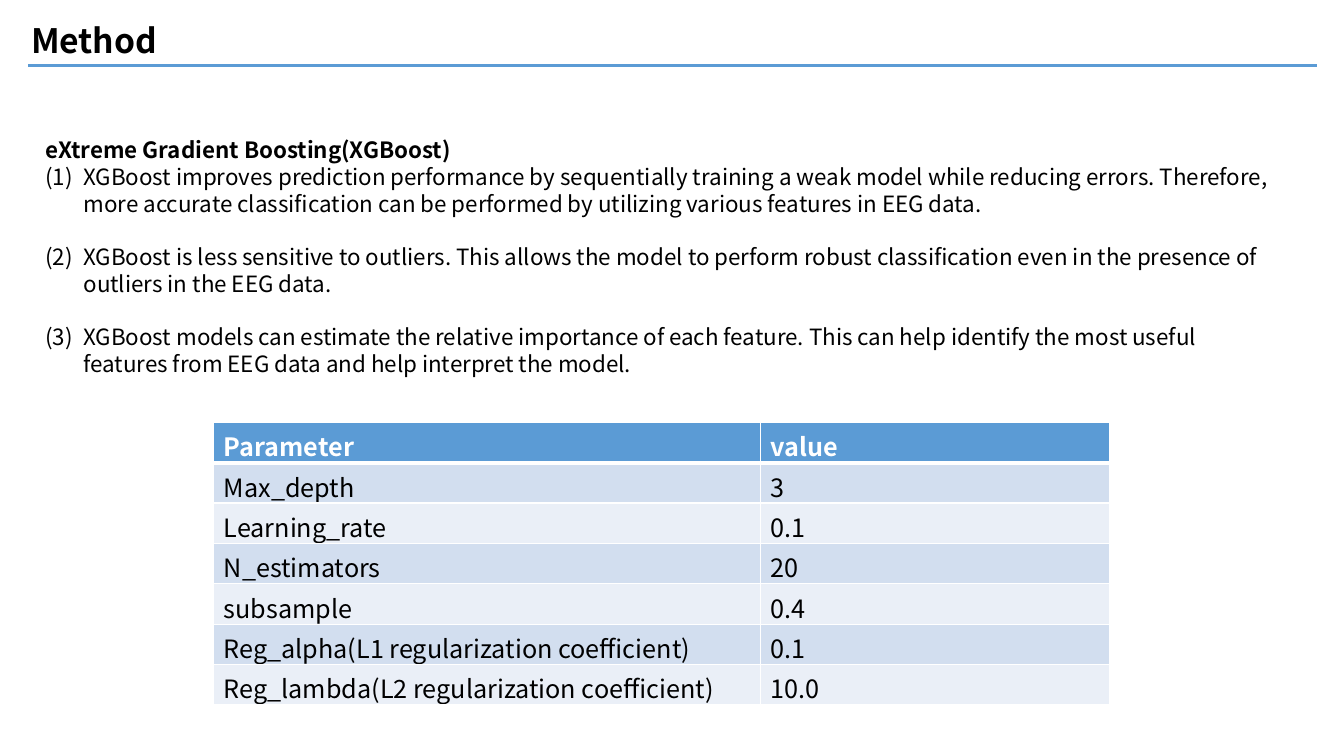
import dataclasses

import lxml.etree
import pptx
import pptx.dml.color
import pptx.enum.shapes
import pptx.oxml.ns
import pptx.slide
import pptx.table
import pptx.text.text
import pptx.util

PX = 9144
FONT = "Noto Sans CJK KR"
BLACK = pptx.dml.color.RGBColor(0x00, 0x00, 0x00)
WHITE = pptx.dml.color.RGBColor(0xFF, 0xFF, 0xFF)
BLUE = pptx.dml.color.RGBColor(0x5B, 0x9B, 0xD5)
BAND_DARK = pptx.dml.color.RGBColor(0xD2, 0xDE, 0xEF)
BAND_LIGHT = pptx.dml.color.RGBColor(0xEA, 0xEF, 0xF7)
ROW_HEIGHT = 40
REASON_INDENT = 38


@dataclasses.dataclass(frozen=True)
class Box:
    left: int
    top: int
    width: int
    height: int

    def emu(self) -> tuple[int, int, int, int]:
        return self.left * PX, self.top * PX, self.width * PX, self.height * PX


@dataclasses.dataclass(frozen=True)
class Style:
    size: int
    color: pptx.dml.color.RGBColor = BLACK
    bold: bool = False


@dataclasses.dataclass(frozen=True)
class Parameter:
    name: str
    value: str


TITLE = Style(24, bold=True)
HEADING = Style(16, bold=True)
BODY = Style(16)
TABLE_HEAD = Style(18, WHITE, True)
TABLE_BODY = Style(18)

REASONS = [
    "XGBoost improves prediction performance by sequentially training a weak model while reducing errors. "
    "Therefore, more accurate classification can be performed by utilizing various features in EEG data.",
    "XGBoost is less sensitive to outliers. This allows the model to perform robust classification "
    "even in the presence of outliers in the EEG data.",
    "XGBoost models can estimate the relative importance of each feature. This can help identify "
    "the most useful features from EEG data and help interpret the model.",
]

PARAMETERS = [
    Parameter("Parameter", "value"),
    Parameter("Max_depth", "3"),
    Parameter("Learning_rate", "0.1"),
    Parameter("N_estimators", "20"),
    Parameter("subsample", "0.4"),
    Parameter("Reg_alpha(L1 regularization coefficient)", "0.1"),
    Parameter("Reg_lambda(L2 regularization coefficient)", "10.0"),
]


def add_child(parent: lxml.etree._Element, tag: str, **attributes: str) -> lxml.etree._Element:
    return lxml.etree.SubElement(parent, pptx.oxml.ns.qn(tag), attributes)


def write(paragraph: pptx.text.text._Paragraph, text: str, style: Style) -> None:
    run = paragraph.add_run()
    run.text = text
    run.font.name = FONT
    run.font.size = pptx.util.Pt(style.size)
    run.font.bold = style.bold
    run.font.color.rgb = style.color
    add_child(run.font._element, "a:ea", typeface=FONT)


def add_text_frame(slide: pptx.slide.Slide, box: Box) -> pptx.text.text.TextFrame:
    frame = slide.shapes.add_textbox(*box.emu()).text_frame
    frame.word_wrap = True
    return frame


def add_title_rule(slide: pptx.slide.Slide) -> None:
    rule = slide.shapes.add_connector(
        pptx.enum.shapes.MSO_CONNECTOR.STRAIGHT, 28 * PX, 65 * PX, 1306 * PX, 65 * PX
    )
    rule.line.color.rgb = BLUE
    rule.line.width = pptx.util.Pt(2)
    add_child(rule._element.spPr, "a:effectLst")


def add_reasons(slide: pptx.slide.Slide) -> None:
    frame = add_text_frame(slide, Box(35, 130, 1243, 252))
    write(frame.paragraphs[0], "eXtreme Gradient Boosting(XGBoost)", HEADING)
    for reason in REASONS:
        paragraph = frame.add_paragraph()
        if reason != REASONS[-1]:
            paragraph.space_after = pptx.util.Pt(19)
        properties = paragraph._p.get_or_add_pPr()
        properties.set("marL", str(REASON_INDENT * PX))
        properties.set("indent", str(-REASON_INDENT * PX))
        add_child(properties, "a:buFont", typeface="+mj-lt")
        add_child(properties, "a:buAutoNum", type="arabicParenBoth")
        write(paragraph, reason, BODY)


def add_borders(cell: pptx.table._Cell, bottom_width: int, top_width: int) -> None:
    properties = cell._tc.get_or_add_tcPr()
    widths = {"a:lnL": 1, "a:lnR": 1, "a:lnT": top_width, "a:lnB": bottom_width}
    for position, (tag, width) in enumerate(widths.items()):
        border = add_child(properties, tag, w=str(pptx.util.Pt(width)))
        fill = add_child(border, "a:solidFill")
        add_child(fill, "a:srgbClr", val=str(WHITE))
        properties.insert(position, border)


def add_parameter_table(slide: pptx.slide.Slide) -> None:
    box = Box(212, 419, 889, ROW_HEIGHT * len(PARAMETERS))
    table = slide.shapes.add_table(len(PARAMETERS), 2, *box.emu()).table
    for column, width in zip(table.columns, (542, 347)):
        column.width = width * PX
    for index, parameter in enumerate(PARAMETERS):
        is_head = index == 0
        band = BLUE if is_head else BAND_DARK if index % 2 else BAND_LIGHT
        for column_index, text in enumerate((parameter.name, parameter.value)):
            cell = table.cell(index, column_index)
            cell.fill.solid()
            cell.fill.fore_color.rgb = band
            add_borders(cell, 3 if is_head else 1, 3 if index == 1 else 1)
            write(cell.text_frame.paragraphs[0], text, TABLE_HEAD if is_head else TABLE_BODY)


def main() -> None:
    deck = pptx.Presentation()
    deck.slide_width = 1333 * PX
    deck.slide_height = 750 * PX
    slide = deck.slides.add_slide(deck.slide_layouts[6])
    add_title_rule(slide)
    title = add_text_frame(slide, Box(21, 15, 223, 50))
    write(title.paragraphs[0], "Method", TITLE)
    add_reasons(slide)
    add_parameter_table(slide)
    deck.save("out.pptx")


if __name__ == "__main__":
    main()
